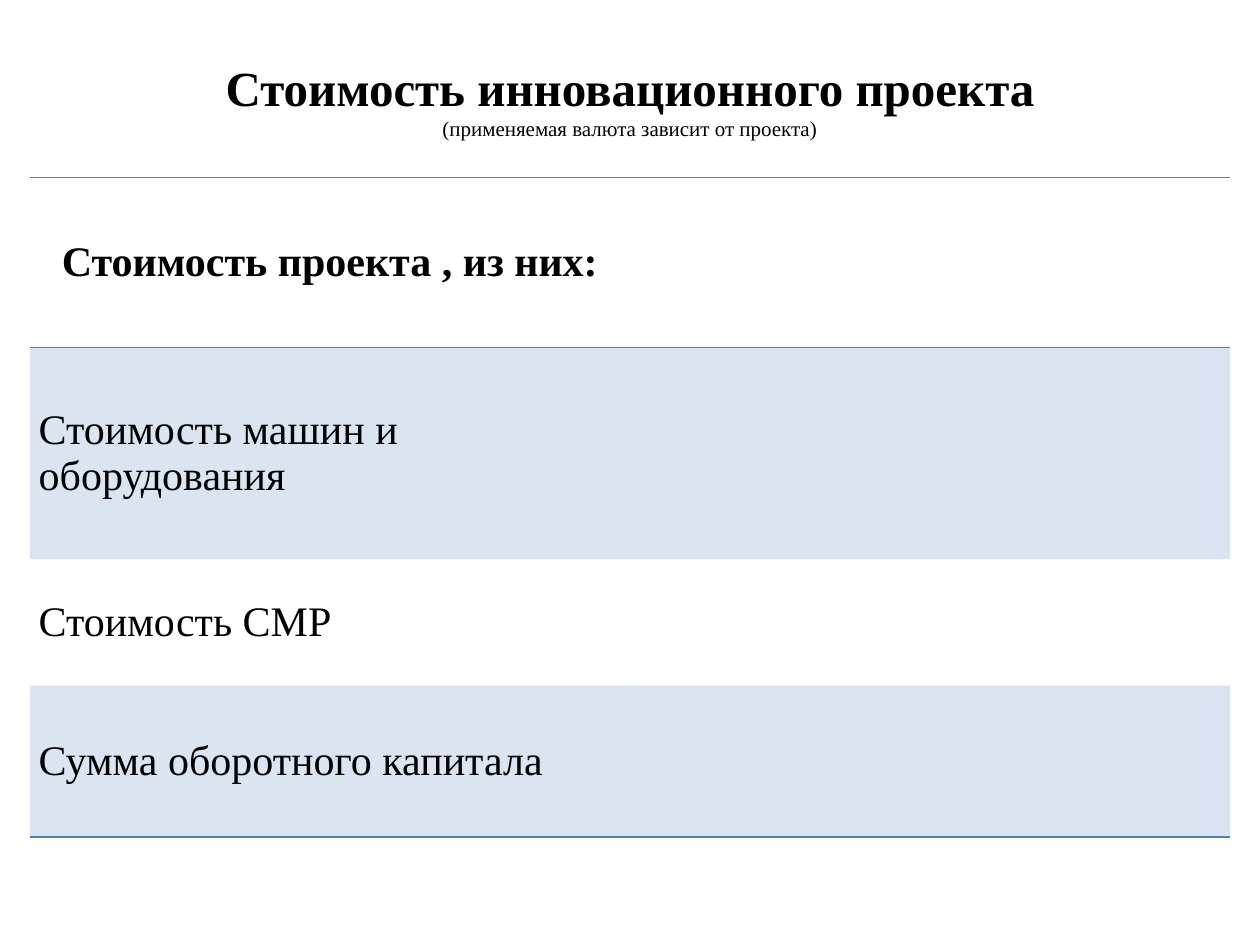
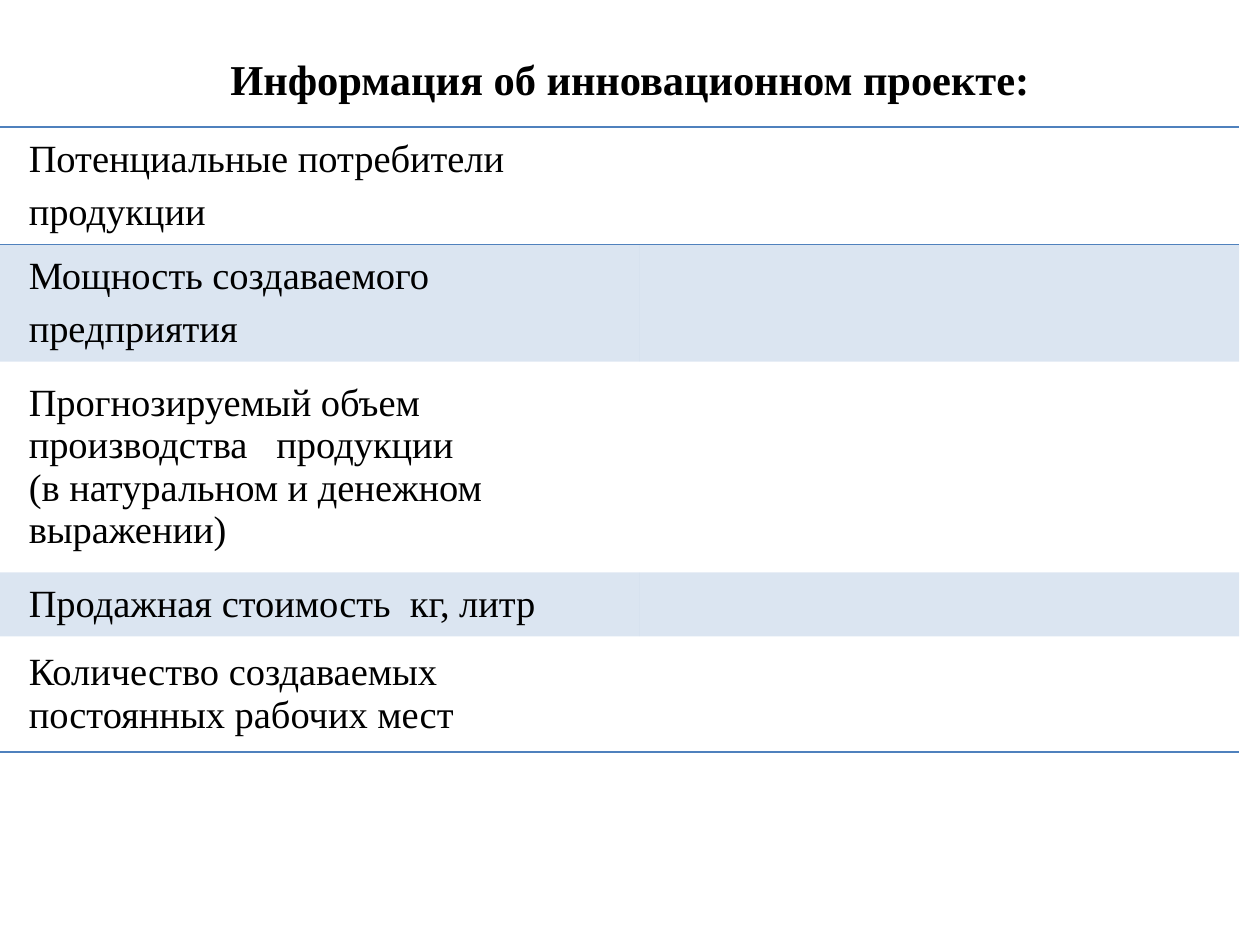
"""Build two slides on the cost and the facts of an innovation project."""
from dataclasses import dataclass

from lxml import etree
from pptx import Presentation
from pptx import util as u
from pptx.dml.color import RGBColor
from pptx.enum import text
from pptx.oxml import ns


@dataclass(frozen=True)
class Theme:
    font: str = "Times New Roman"
    ink: str = "000000"
    accent: str = "4F81BD"
    band_alpha: int = 20
    rule: float = 1
    heading: float = 28
    subheading: float = 12
    section: float = 24.3
    large: float = 24
    body: float = 22
    gap: float = 3


THEME = Theme()
PLAIN_TABLE = "{2D5ABB26-0587-4C30-8999-92F81FD0307C}"


def write(para, words, *, size, bold=False, align=None, gap=0):
    para.alignment = align
    para.space_before = para.space_after = u.Pt(gap)
    for index, line in enumerate(words.split("\n")):
        if index:
            para.add_line_break()
        span = para.add_run()
        span.text = line
        span.font.name = THEME.font
        span.font.size = u.Pt(size)
        span.font.bold = bold
        span.font.color.rgb = RGBColor.from_string(THEME.ink)


def paragraphs(frame, count):
    return [frame.paragraphs[0]] + [frame.add_paragraph() for _ in range(count - 1)]


class SlideBuilder:
    def __init__(self, deck, theme):
        self.deck = deck
        self.theme = theme
        self.page = None

    def add_page(self):
        self.page = self.deck.slides.add_slide(self.deck.slide_layouts[5])

    def title(self, top, lines, bottom_inset=0.13):
        box = self.page.shapes.title
        box.left, box.top = u.Cm(1.27), u.Cm(top)
        box.width, box.height = u.Cm(22.86), u.Cm(3.18)
        frame = box.text_frame
        frame.auto_size = text.MSO_AUTO_SIZE.NONE
        frame.word_wrap = True
        frame.vertical_anchor = text.MSO_ANCHOR.MIDDLE
        frame.margin_bottom = u.Cm(bottom_inset)
        for para, (words, size, bold) in zip(paragraphs(frame, len(lines)), lines):
            write(para, words, size=size, bold=bold, align=text.PP_ALIGN.CENTER)

    def table(self, left, top, widths, heights, labels, *, size, inset, header=False):
        frame = self.page.shapes.add_table(
            len(heights), len(widths), u.Cm(left), u.Cm(top),
            u.Cm(sum(widths)), u.Cm(sum(heights)))
        grid = frame.table
        grid.first_row = header
        grid.horz_banding = False
        next(grid._tbl.iter(ns.qn("a:tableStyleId"))).text = PLAIN_TABLE
        for column, width in zip(grid.columns, widths):
            column.width = u.Cm(width)
        for index, (row, height) in enumerate(zip(grid.rows, heights)):
            row.height = u.Cm(height)
            edges = ["lnT", "lnB"] if index == 0 else []
            if index == len(heights) - 1:
                edges.append("lnB")
            for cell in row.cells:
                self.cell(cell, edges, banded=index % 2 == 1)
            self.label(row.cells[0], labels[index], size, inset, header and index == 0)

    def label(self, cell, lines, size, inset, heading):
        cell.vertical_anchor = text.MSO_ANCHOR.MIDDLE
        cell.margin_left = u.Cm(inset)
        cell.margin_right = u.Cm(0.18)
        cell.margin_top = cell.margin_bottom = 0
        align = text.PP_ALIGN.CENTER if heading else None
        for para, words in zip(paragraphs(cell.text_frame, len(lines)), lines):
            gap = 0 if "\n" in words else self.theme.gap
            write(para, words, size=size, bold=heading, align=align, gap=gap)

    def cell(self, cell, edges, banded):
        props = cell._tc.get_or_add_tcPr()
        for edge in edges:
            line = etree.SubElement(props, ns.qn("a:" + edge), w=str(u.Pt(self.theme.rule)))
            paint = etree.SubElement(line, ns.qn("a:solidFill"))
            etree.SubElement(paint, ns.qn("a:srgbClr"), val=self.theme.accent)
        if not banded:
            cell.fill.background()
            return
        cell.fill.solid()
        cell.fill.fore_color.rgb = RGBColor.from_string(self.theme.accent)
        color = next(props.find(ns.qn("a:solidFill")).iter(ns.qn("a:srgbClr")))
        etree.SubElement(color, ns.qn("a:alpha"), val=str(self.theme.band_alpha * 1000))


def cost_page(builder):
    builder.add_page()
    builder.title(0.41, [
        ("Стоимость инновационного проекта", THEME.heading, True),
        ("(применяемая валюта зависит от проекта)", THEME.subheading, False),
    ])
    builder.table(
        0.6, 3.58, [12.1, 12.1], [3.43, 4.26, 2.55, 3.05],
        [["Стоимость проекта , из них:"],
         ["Стоимость машин и оборудования"],
         ["Стоимость СМР"],
         ["Сумма оборотного капитала"]],
        size=THEME.large, inset=0.18, header=True)


def facts_page(builder):
    builder.add_page()
    builder.title(0.76, [
        ("Информация об инновационном проекте:", THEME.section, True),
    ], bottom_inset=1.68)
    builder.table(
        0, 2.56, [12.9, 12.08], [2.37, 2.36, 4.25, 1.29, 2.33],
        [["Потенциальные потребители", "продукции"],
         ["Мощность создаваемого", "предприятия"],
         ["Прогнозируемый объем\nпроизводства   продукции\n"
          "(в натуральном и денежном\nвыражении)"],
         ["Продажная стоимость  кг, литр"],
         ["Количество создаваемых\nпостоянных рабочих мест"]],
        size=THEME.body, inset=0.58)


def main():
    deck = Presentation()
    deck.slide_width, deck.slide_height = u.Cm(25.4), u.Cm(19.05)
    builder = SlideBuilder(deck, THEME)
    cost_page(builder)
    facts_page(builder)
    deck.save("out.pptx")


main()
